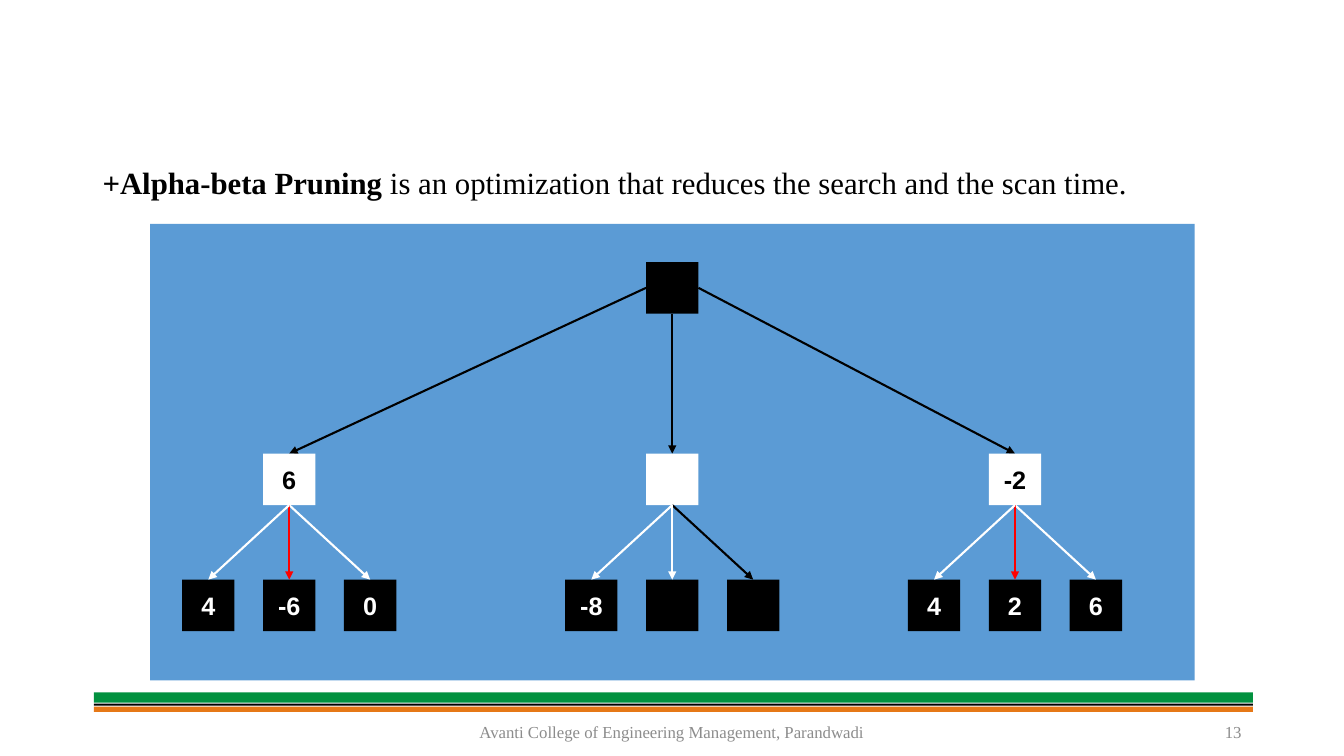
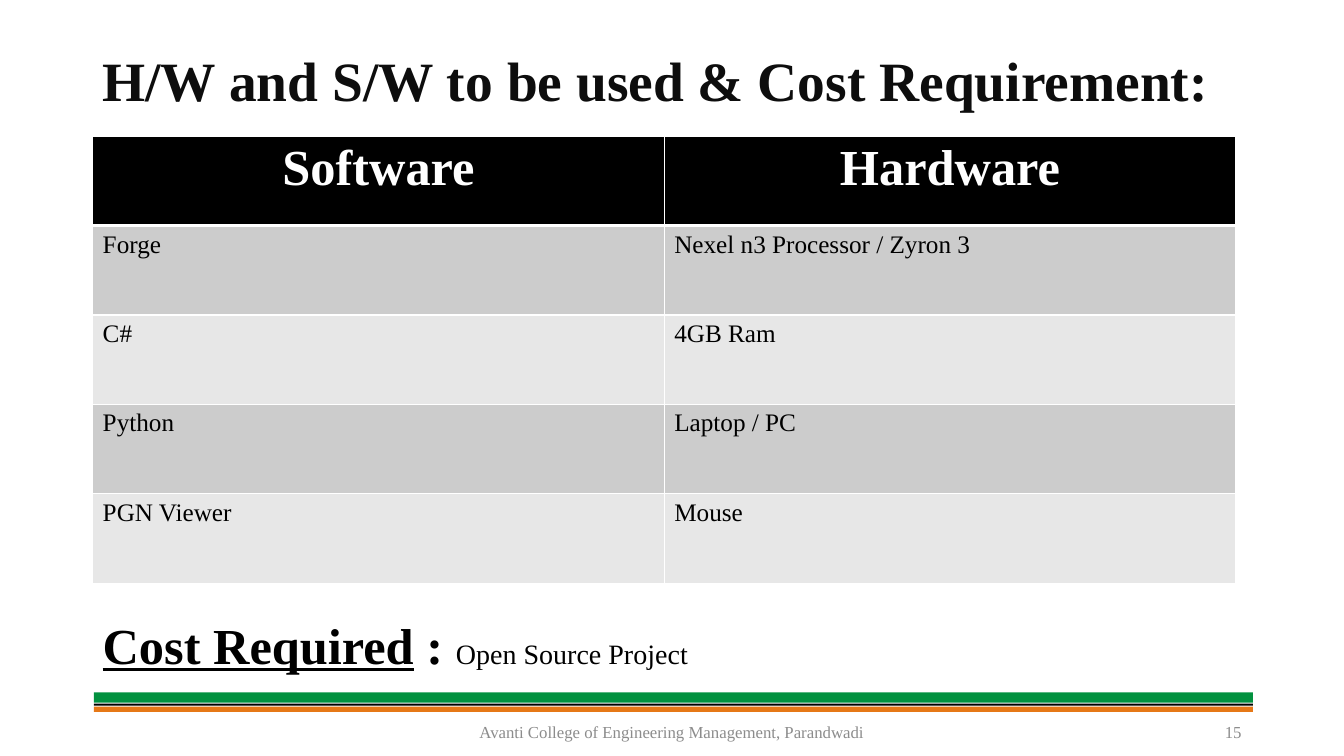
"""Build two project slides: an alpha-beta search tree and a requirements table."""
from dataclasses import dataclass

from lxml.etree import SubElement
from pptx import Presentation
from pptx.dml.color import RGBColor
from pptx.enum.shapes import MSO_CONNECTOR as CONN, MSO_SHAPE as SHAPE
from pptx.enum.text import MSO_ANCHOR as ANCHOR, PP_ALIGN as ALIGN
from pptx.oxml.ns import qn
from pptx.slide import Slide
from pptx.text.text import TextFrame
from pptx.util import Pt

BLACK = RGBColor(0x00, 0x00, 0x00)
WHITE = RGBColor(0xFF, 0xFF, 0xFF)
RED = RGBColor(0xFF, 0x00, 0x00)
GREEN = RGBColor(0x02, 0x91, 0x3F)
ORANGE = RGBColor(0xE6, 0x78, 0x17)
BLUE = RGBColor(0x5B, 0x9B, 0xD5)
GRAY = RGBColor(0x8C, 0x8C, 0x8C)
INK = RGBColor(0x0D, 0x0D, 0x0D)
ROW_FILLS = (RGBColor(0xCC, 0xCC, 0xCC), RGBColor(0xE7, 0xE7, 0xE7))

SERIF = "Times New Roman"
FOOTER = "Avanti College of Engineering Management, Parandwadi"
FOOTER_FONT = {"name": SERIF, "size": Pt(12)}
TITLE_FONT = {"name": SERIF, "size": Pt(39.6), "bold": True}
BODY_FONT = {"name": SERIF, "size": Pt(22)}
HEAD_FONT = {"name": SERIF, "size": Pt(36), "bold": True}
CELL_FONT = {"name": SERIF, "size": Pt(18), "bold": False}
COST_FONT = {"name": SERIF, "size": Pt(20)}
NODE_FONT = {"name": "Arial", "size": Pt(18), "bold": True}

LEFT = 66.2
NODE_W, NODE_H = 37.4, 36.8
ROOT_X, ROOT_Y = 480.2, 187.2
BRANCH_Y, LEAF_Y = 324, 414
LEAF_STEP = 57.8


@dataclass(frozen=True)
class Box:
    x: float
    y: float
    w: float
    h: float

    def lengths(self) -> tuple:
        return tuple(Pt(v) for v in (self.x, self.y, self.w, self.h))


@dataclass(frozen=True)
class Run:
    text: str
    font: dict
    color: RGBColor = BLACK


@dataclass(frozen=True)
class Branch:
    x: float
    value: str
    leaves: tuple[str, str, str]
    colors: tuple[RGBColor, RGBColor, RGBColor]


BANDS = (
    (Box(67, 494.6, 828, 7.4), GREEN),
    (Box(67, 504.7, 828, 3.8), ORANGE),
    (Box(67, 502.6, 828, 1.4), BLACK),
)
BRANCHES = (
    Branch(206.6, "6", ("4", "-6", "0"), (WHITE, RED, WHITE)),
    Branch(ROOT_X, "", ("-8", "", ""), (WHITE, WHITE, BLACK)),
    Branch(725, "-2", ("4", "2", "6"), (WHITE, RED, WHITE)),
)
REQUIREMENTS = (
    ("Software", "Hardware"),
    ("Forge", "Nexel n3 Processor / Zyron 3"),
    ("C#", "4GB Ram"),
    ("Python", "Laptop / PC"),
    ("PGN Viewer", "Mouse"),
)


def write(tf: TextFrame, runs: list[Run], **layout) -> None:
    p = tf.paragraphs[0]
    for key, value in layout.items():
        setattr(p, key, value)
    for run in runs:
        r = p.add_run()
        r.text = run.text
        for key, value in run.font.items():
            setattr(r.font, key, value)
        r.font.color.rgb = run.color


def add_text(s: Slide, box: Box, runs: list[Run], anchor=ANCHOR.TOP, **layout) -> None:
    tf = s.shapes.add_textbox(*box.lengths()).text_frame
    tf.word_wrap = True
    tf.vertical_anchor = anchor
    write(tf, runs, **layout)


def add_rect(s: Slide, box: Box, color: RGBColor):
    sp = s.shapes.add_shape(SHAPE.RECTANGLE, *box.lengths())
    sp.shadow.inherit = False
    sp.fill.solid()
    sp.fill.fore_color.rgb = color
    sp.line.fill.background()
    return sp


def add_node(s: Slide, x: float, y: float, value: str, fill: RGBColor, ink: RGBColor) -> None:
    tf = add_rect(s, Box(x - NODE_W / 2, y, NODE_W, NODE_H), fill).text_frame
    tf.margin_left = tf.margin_right = 0
    tf.vertical_anchor = ANCHOR.MIDDLE
    if value:
        write(tf, [Run(value, NODE_FONT, ink)], alignment=ALIGN.CENTER)


def add_arrow(s: Slide, x1: float, y1: float, x2: float, y2: float, color: RGBColor) -> None:
    cx = s.shapes.add_connector(CONN.STRAIGHT, Pt(x1), Pt(y1), Pt(x2), Pt(y2))
    cx.line.color.rgb = color
    cx.line.width = Pt(1.5)
    SubElement(cx.line._get_or_add_ln(), qn("a:tailEnd"), type="triangle")
    SubElement(cx._element.spPr, qn("a:effectLst"))


def add_borders(cell, widths: dict[str, float]) -> None:
    tc_pr = cell._tc.get_or_add_tcPr()
    for side, width in widths.items():
        ln = SubElement(tc_pr, qn(f"a:ln{side}"), w=str(Pt(width)))
        SubElement(SubElement(ln, qn("a:solidFill")), qn("a:srgbClr"), val=str(WHITE))


def add_base(prs, number: int) -> Slide:
    s = prs.slides.add_slide(prs.slide_layouts[6])
    for box, color in BANDS:
        add_rect(s, box, color)
    for box, text, align in (
        (Box(318, 508.4, 324, 28.8), FOOTER, ALIGN.CENTER),
        (Box(678, 508.4, 216, 28.8), str(number), ALIGN.RIGHT),
    ):
        add_text(s, box, [Run(text, FOOTER_FONT, GRAY)], ANCHOR.MIDDLE, alignment=align)
    return s


def add_tree(s: Slide) -> None:
    add_rect(s, Box(107.3, 160, 746, 326), BLUE)
    add_node(s, ROOT_X, ROOT_Y, "", BLACK, WHITE)
    for side, branch in zip((-1, 0, 1), BRANCHES):
        start_y = ROOT_Y + NODE_H / (1 if side == 0 else 2)
        add_arrow(s, ROOT_X + side * NODE_W / 2, start_y, branch.x, BRANCH_Y, BLACK)
        add_node(s, branch.x, BRANCH_Y, branch.value, WHITE, BLACK)
        for i in (2, 1, 0):
            x = branch.x + (i - 1) * LEAF_STEP
            add_node(s, x, LEAF_Y, branch.leaves[i], BLACK, WHITE)
            add_arrow(s, branch.x, BRANCH_Y + NODE_H, x, LEAF_Y, branch.colors[i])


def add_requirements(s: Slide) -> None:
    box = Box(LEFT, 97.2, 816.6, 319.5)
    table = s.shapes.add_table(len(REQUIREMENTS), 2, *box.lengths()).table
    for i, row in enumerate(REQUIREMENTS):
        table.rows[i].height = Pt(box.h / len(REQUIREMENTS))
        head = i == 0
        font, ink = (HEAD_FONT, WHITE) if head else (CELL_FONT, BLACK)
        for j, text in enumerate(row):
            cell = table.cell(i, j)
            add_borders(cell, {"L": 1, "R": 1, "T": 3 if i == 1 else 1, "B": 3 if head else 1})
            cell.fill.solid()
            cell.fill.fore_color.rgb = BLACK if head else ROW_FILLS[(i - 1) % 2]
            align = ALIGN.CENTER if head else ALIGN.LEFT
            write(cell.text_frame, [Run(text, font, ink)], alignment=align)


def main() -> None:
    prs = Presentation()
    prs.slide_width, prs.slide_height = Pt(960), Pt(540)

    s = add_base(prs, 13)
    add_tree(s)
    add_text(s, Box(LEFT, 105.8, 817.2, 43.2), [
        Run("+Alpha-beta Pruning", BODY_FONT | {"bold": True}),
        Run(" is an optimization that reduces the search and the scan time.", BODY_FONT),
    ], line_spacing=1.3, space_before=Pt(10))

    s = add_base(prs, 15)
    title = Run("H/W and S/W to be used & Cost Requirement:", TITLE_FONT, INK)
    add_text(s, Box(LEFT, 22.3, 828, 74.9), [title], ANCHOR.MIDDLE, line_spacing=0.9)
    add_requirements(s)
    add_text(s, Box(LEFT, 434.9, 771, 51), [
        Run("Cost Required", HEAD_FONT | {"underline": True}),
        Run(" : ", HEAD_FONT),
        Run("Open Source Project", COST_FONT),
    ])

    prs.save("out.pptx")


if __name__ == "__main__":
    main()
